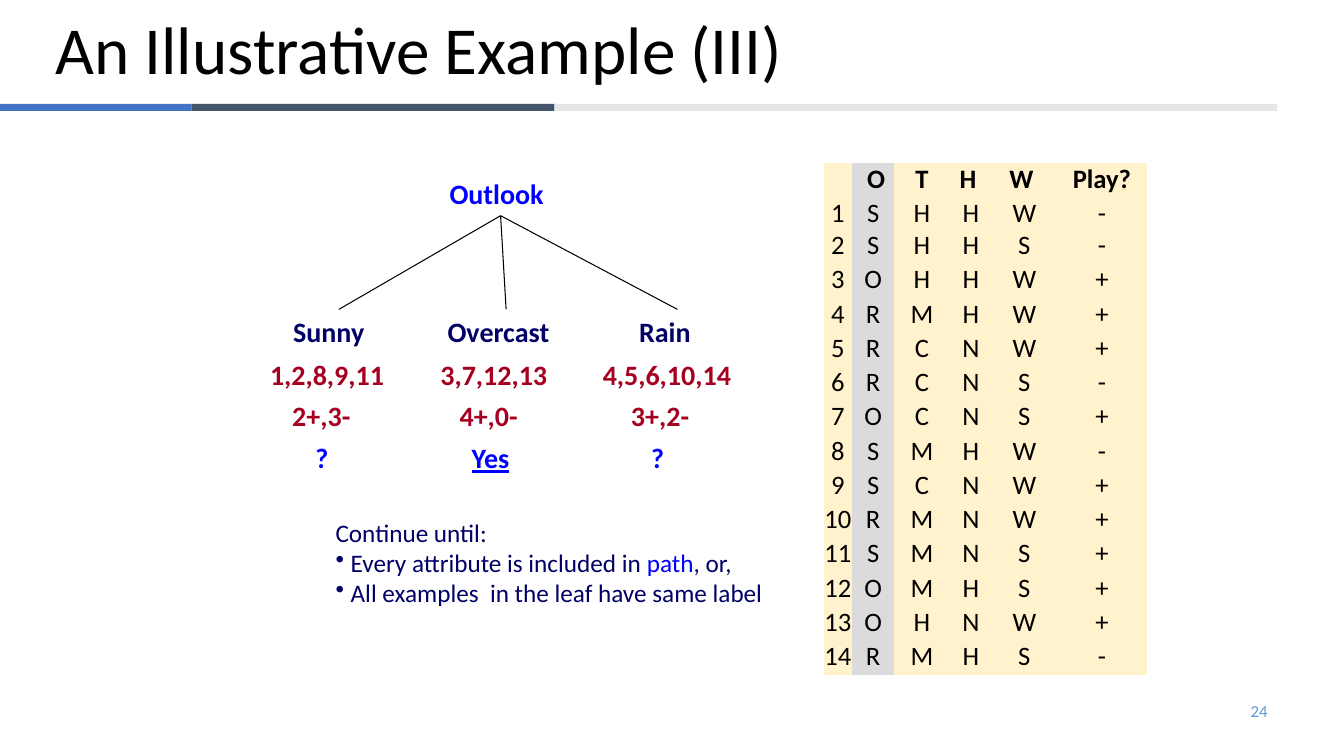
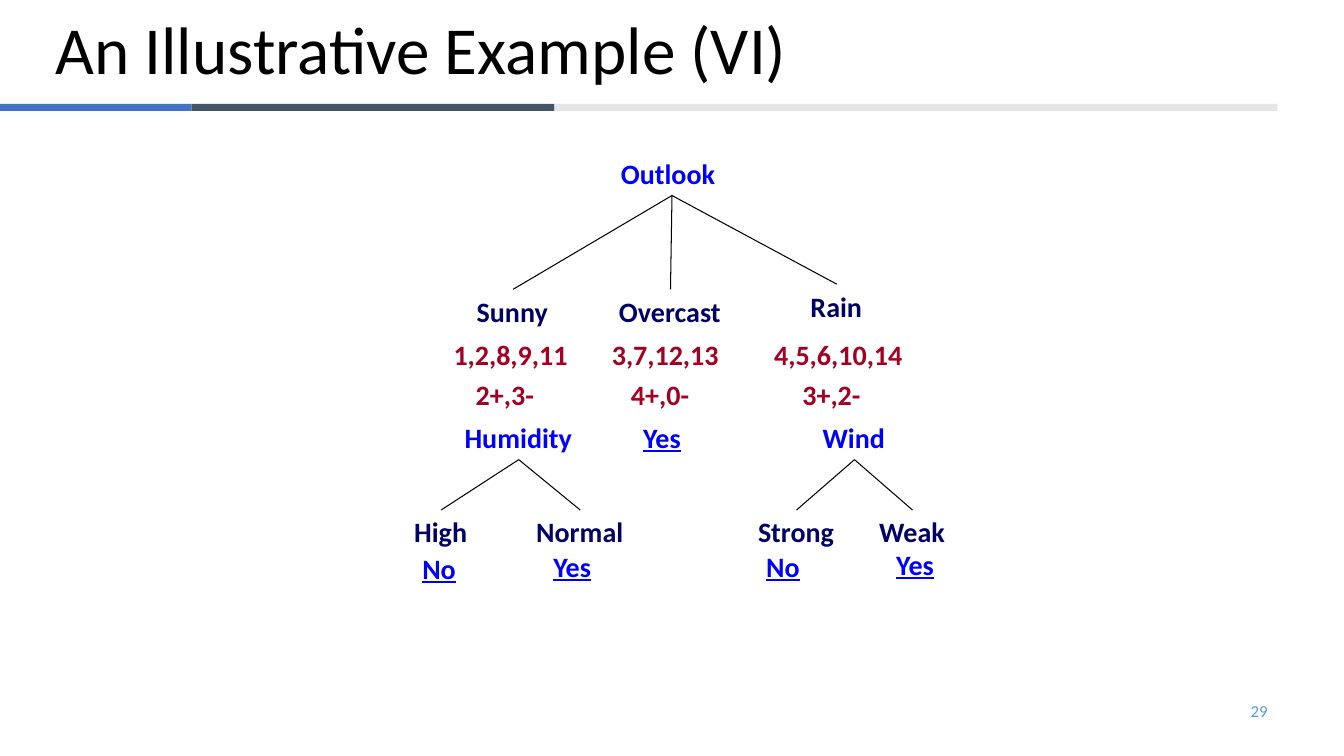
from lxml import etree
from pptx import Presentation
from pptx.dml.color import RGBColor
from pptx.enum.shapes import MSO_CONNECTOR, MSO_SHAPE
from pptx.enum.text import MSO_ANCHOR, MSO_AUTO_SIZE, PP_ALIGN
from pptx.oxml.ns import qn
from pptx.util import Pt

LEFT, CENTER, RIGHT = PP_ALIGN.LEFT, PP_ALIGN.CENTER, PP_ALIGN.RIGHT
MIDDLE = MSO_ANCHOR.MIDDLE
FIT_TEXT = MSO_AUTO_SIZE.SHAPE_TO_FIT_TEXT
STRAIGHT, RECTANGLE = MSO_CONNECTOR.STRAIGHT, MSO_SHAPE.RECTANGLE
TOP_SIDE, BOTTOM_SIDE = 0, 2

EMU_PER_PX = 9144
FONT = "Calibri"
NO_STYLE_NO_GRID = "{2D5ABB26-0587-4C30-8999-92F81FD0307C}"
COLORS = {
    "text": "000000", "page": "5B9BD5",
    "band_blue": "4472C4", "band_slate": "44546A", "band_grey": "E7E6E6",
    "attribute": "0000FF", "value": "000066", "examples": "A50021",
    "cell": "FFF2CC", "chosen_cell": "DBDBDB",
}
BANDS = [(-1, 191, "band_blue"), (190, 360, "band_slate"), (550, 717, "band_grey")]

LABEL_HEIGHT = 44
LABEL_WIDTHS = {
    "Outlook": 121, "Sunny": 92, "Overcast": 122, "Rain": 72,
    "1,2,8,9,11": 134, "3,7,12,13": 127, "4,5,6,10,14": 148,
    "2+,3-": 78, "4+,0-": 78, "3+,2-": 78, "?": 33, "Yes": 58, "No": 54,
    "Humidity": 127, "High": 73, "Normal": 107,
    "Wind": 83, "Strong": 96, "Weak": 86,
}
# Lefts are measured from the left of the root label.
OUTLOOK_BRANCHES = [
    [("Sunny", -155), ("1,2,8,9,11", -178), ("2+,3-", -156)],
    [("Overcast", -2), ("3,7,12,13", -9), ("4+,0-", 10)],
    [("Rain", 188), ("4,5,6,10,14", 152), ("3+,2-", 180)],
]
VALUE_DROP, IDS_DROP, COUNTS_DROP, LEAF_DROP = 137, 180, 220, 262

HEADINGS = ["", " O", "T", "H ", "W ", "Play?"]
DAYS = ["SHHW-", "SHHS-", "OHHW+", "RMHW+", "RCNW+", "RCNS-", "OCNS+",
        "SMHW-", "SCNW+", "RMNW+", "SMNS+", "OMHS+", "OHNW+", "RMHS-"]
COLUMN_WIDTHS = [28, 42, 55, 42, 64, 90]
ROW_HEIGHTS = [34, 31] + [34] * 13


def px(length):
    return round(length * EMU_PER_PX)


def rgb(name):
    return RGBColor.from_string(COLORS[name])


def write(paragraph, *runs, size=20, color="text", bold=False, underline=False,
          align=LEFT, spacing=None, bullet_indent=0):
    """Fill a paragraph; a run is a string or a (string, colour name) pair."""
    paragraph.alignment = align
    if spacing:
        paragraph.line_spacing = spacing
    if bullet_indent:
        properties = paragraph._p.get_or_add_pPr()
        properties.set("marL", str(px(bullet_indent)))
        properties.set("indent", str(-px(bullet_indent)))
        etree.SubElement(properties, qn("a:buChar")).set("char", "•")
    for part in runs:
        words, tint = (part, color) if isinstance(part, str) else part
        run = paragraph.add_run()
        run.text = words
        font = run.font
        font.name, font.size, font.bold = FONT, Pt(size), bold
        font.underline = underline
        font.color.rgb = rgb(tint)


class Deck:
    def __init__(self):
        self.presentation = Presentation()
        self.presentation.slide_width = px(1333)
        self.presentation.slide_height = px(750)
        self.slide = None

    def add_slide(self, title, page):
        self.slide = self.presentation.slides.add_slide(
            self.presentation.slide_layouts[6])
        for left, width, color in BANDS:
            self.band(left, 103, width, 7, color)
        self.text(page, 956, 685, 311, 40, anchor=MIDDLE,
                  size=12, color="page", align=RIGHT)
        self.text(title, 45, 2, 1200, 101, anchor=MIDDLE, size=48, spacing=0.9)

    def band(self, left, top, width, height, color):
        band = self.slide.shapes.add_shape(
            RECTANGLE, px(left), px(top), px(width), px(height))
        band.shadow.inherit = False
        band.fill.solid()
        band.fill.fore_color.rgb = rgb(color)
        band.line.fill.background()

    def box(self, left, top, width, height, wrap=True):
        box = self.slide.shapes.add_textbox(
            px(left), px(top), px(width), px(height))
        box.text_frame.word_wrap = wrap
        if not wrap:
            box.text_frame.auto_size = FIT_TEXT
        return box

    def text(self, words, left, top, width, height, wrap=True, anchor=None, **style):
        box = self.box(left, top, width, height, wrap)
        box.text_frame.vertical_anchor = anchor
        write(box.text_frame.paragraphs[0], words, **style)
        return box

    def label(self, words, left, top, color="attribute", underline=False):
        return self.text(words, left, top, LABEL_WIDTHS[words], LABEL_HEIGHT,
                         wrap=False, color=color, bold=True, underline=underline)

    def edge(self, parent, child, shift=0):
        """Join parent to child, ending shift px right of the child's middle."""
        end_x = child.left + child.width // 2 + px(shift)
        edge = self.slide.shapes.add_connector(
            STRAIGHT, parent.left, parent.top, end_x, child.top)
        edge.begin_connect(parent, BOTTOM_SIDE)
        if not shift:
            edge.end_connect(child, TOP_SIDE)
        edge.line.width = Pt(0.75)
        edge.line.color.rgb = rgb("text")
        etree.SubElement(edge._element.spPr, qn("a:effectLst"))

    def outlook_tree(self, left, top, shifts=(0, 0, 0), rises=(0, 0, 0),
                     edge_shifts=(0, 0, 0)):
        """Draw the root split; shifts and rises move single branches."""
        root = self.label("Outlook", left, top)
        for branch, shift, rise, edge_shift in zip(
                OUTLOOK_BRANCHES, shifts, rises, edge_shifts):
            (value, value_x), (ids, ids_x), (counts, counts_x) = branch
            x = left + shift
            child = self.label(value, x + value_x, top + VALUE_DROP - rise, "value")
            self.edge(root, child, edge_shift)
            self.label(ids, x + ids_x, top + IDS_DROP, "examples")
            self.label(counts, x + counts_x, top + COUNTS_DROP, "examples")
        self.label("Yes", left + 22, top + LEAF_DROP, underline=True)

    def subtree(self, attribute, left, top, branches):
        parent = self.label(attribute, left, top)
        for value, value_left, answer, answer_left, answer_top in branches:
            child = self.label(value, value_left, top + 94, "value")
            self.edge(parent, child)
            self.label(answer, answer_left, answer_top, underline=True)

    def table(self, rows, left, top, widths, heights, chosen_column):
        table = self.slide.shapes.add_table(
            len(rows), len(widths), px(left), px(top),
            px(sum(widths)), px(sum(heights))).table
        table._tbl.tblPr.find(qn("a:tableStyleId")).text = NO_STYLE_NO_GRID
        table.horz_banding = False
        for column, width in zip(table.columns, widths):
            column.width = px(width)
        for r, (values, height) in enumerate(zip(rows, heights)):
            table.rows[r].height = px(height)
            for c, value in enumerate(values):
                cell = table.cell(r, c)
                cell.margin_left = cell.margin_right = 0
                cell.margin_top = cell.margin_bottom = 0
                cell.fill.solid()
                cell.fill.fore_color.rgb = rgb(
                    "chosen_cell" if c == chosen_column else "cell")
                if value:
                    write(cell.text_frame.paragraphs[0], value,
                          size=19, bold=r == 0, align=CENTER)


def first_split(deck):
    deck.add_slide("An Illustrative Example (III)", "24")
    deck.outlook_tree(436, 170, edge_shifts=(9, 7, 12))
    for left in (303, 636):
        deck.label("?", left, 432)

    stopping_rule = deck.box(323, 508, 446, 101, wrap=False).text_frame
    style = {"size": 18, "color": "value"}
    write(stopping_rule.paragraphs[0], "Continue until:", **style)
    for condition in (
            ["Every attribute is included in ", ("path", "attribute"), ", or,"],
            ["All examples  in the leaf have same label"]):
        write(stopping_rule.add_paragraph(), *condition, bullet_indent=15, **style)

    days = [[str(number), *day] for number, day in enumerate(DAYS, 1)]
    deck.table([HEADINGS] + days, 817, 162, COLUMN_WIDTHS, ROW_HEIGHTS,
               chosen_column=1)


def full_tree(deck):
    deck.add_slide("An Illustrative Example (VI)", "29")
    deck.outlook_tree(606, 150, shifts=(12, 0, 0), rises=(0, 0, 5))
    deck.subtree("Humidity", 451, 412, [("High", 401, "No", 409, 542),
                                        ("Normal", 522, "Yes", 539, 540)])
    deck.subtree("Wind", 806, 412, [("Strong", 742, "No", 750, 540),
                                    ("Weak", 862, "Yes", 879, 538)])


def main():
    deck = Deck()
    first_split(deck)
    full_tree(deck)
    deck.presentation.save("out.pptx")


if __name__ == "__main__":
    main()
